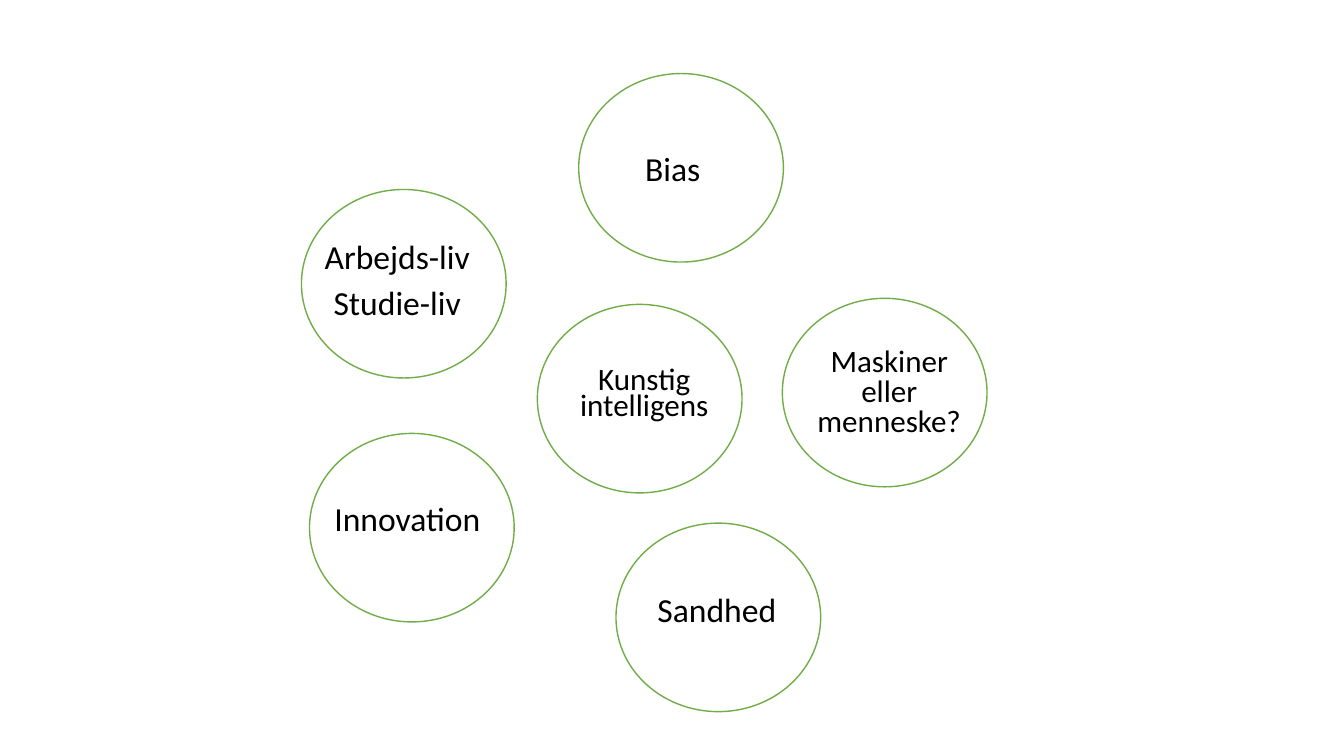
from dataclasses import dataclass

from pptx import Presentation
from pptx import util as u
from pptx.dml.color import RGBColor
from pptx.enum import shapes, text
from pptx.slide import Slide

GREEN = RGBColor(0x70, 0xAD, 0x47)
WHITE = RGBColor(0xFF, 0xFF, 0xFF)
BLACK = RGBColor(0, 0, 0)
FONT = "Calibri"
WIDTH, HEIGHT = 2.03, 1.87


@dataclass
class Box:
    left: float
    top: float
    width: float = 1.94
    height: float = 0.65


@dataclass
class Topic:
    left: float
    top: float
    lines: list[str]
    box: Box
    size: float = 24
    space: float = 0.9


TOPICS = [
    Topic(5.33, 3.02, ["Kunstig intelligens"], Box(5.42, 3.62), 22.2, 0.7),
    Topic(2.99, 1.88, ["Arbejds-liv", "Studie-liv"],
          Box(2.77, 2.37, 2.34, 0.9), space=0.8),
    Topic(5.74, 0.73, ["Bias "], Box(5.74, 1.46)),
    Topic(3.07, 4.3, ["Innovation"], Box(3.07, 4.94)),
    Topic(6.11, 5.19, ["Sandhed"], Box(6.14, 5.84)),
    Topic(7.76, 2.96, ["Maskiner eller menneske?"],
          Box(7.85, 3.41, height=1.02), 22.2, 0.8),
]


def add_ring(slide: Slide, left: float, top: float) -> None:
    ring = slide.shapes.add_shape(
        shapes.MSO_SHAPE.OVAL, u.Inches(left), u.Inches(top),
        u.Inches(WIDTH), u.Inches(HEIGHT))
    ring.shadow.inherit = False
    ring.fill.solid()
    ring.fill.fore_color.rgb = WHITE
    ring.line.color.rgb = GREEN
    ring.line.width = u.Pt(1)


def add_text(slide: Slide, lines: list[str], box: Box, *, size: float,
             space: float, color: RGBColor = BLACK) -> None:
    label = slide.shapes.add_textbox(
        u.Inches(box.left), u.Inches(box.top),
        u.Inches(box.width), u.Inches(box.height))
    frame = label.text_frame
    frame.word_wrap = True
    frame.text = "\n".join(lines)
    for para in frame.paragraphs:
        para.alignment = text.PP_ALIGN.CENTER
        para.line_spacing = space
        para.space_before = u.Pt(10)
        font = para.runs[0].font
        font.name = FONT
        font.size = u.Pt(size)
        font.color.rgb = color


def main() -> None:
    deck = Presentation()
    deck.slide_width = u.Inches(13.33)
    deck.slide_height = u.Inches(7.5)
    slide = deck.slides.add_slide(deck.slide_layouts[6])
    for topic in TOPICS:
        add_ring(slide, topic.left, topic.top)
        add_text(slide, topic.lines, topic.box,
                 size=topic.size, space=topic.space)
    deck.save("out.pptx")


if __name__ == "__main__":
    main()
